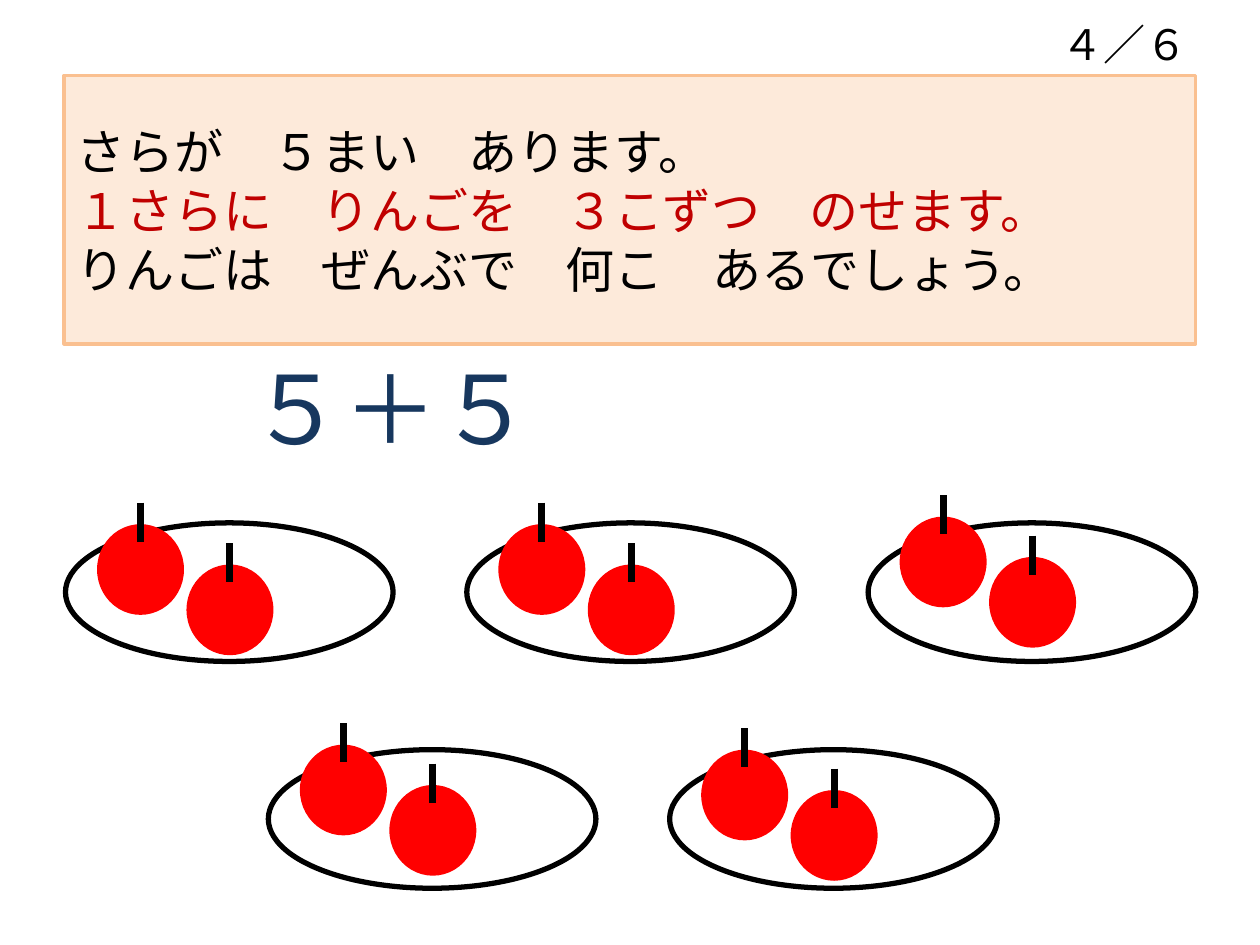
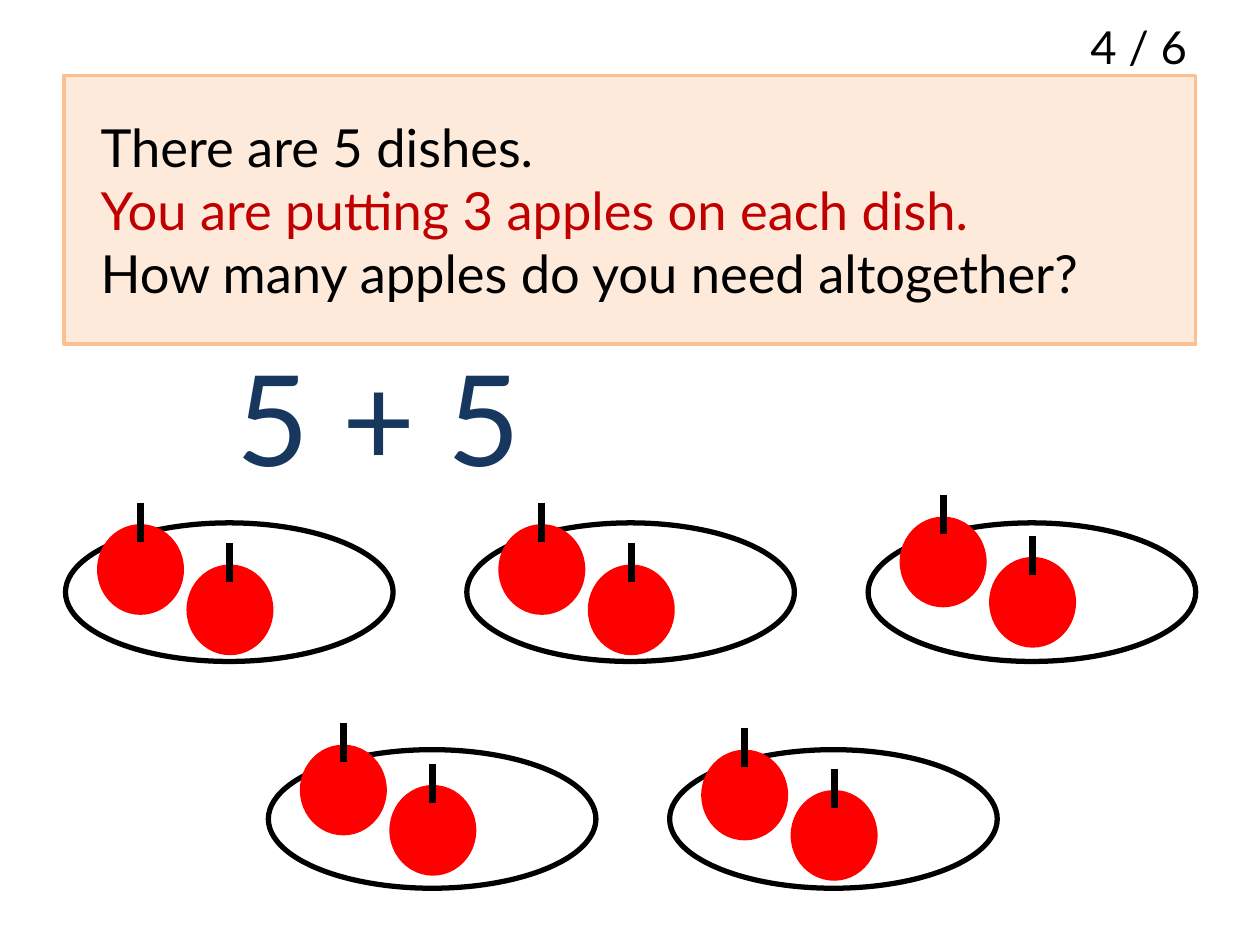
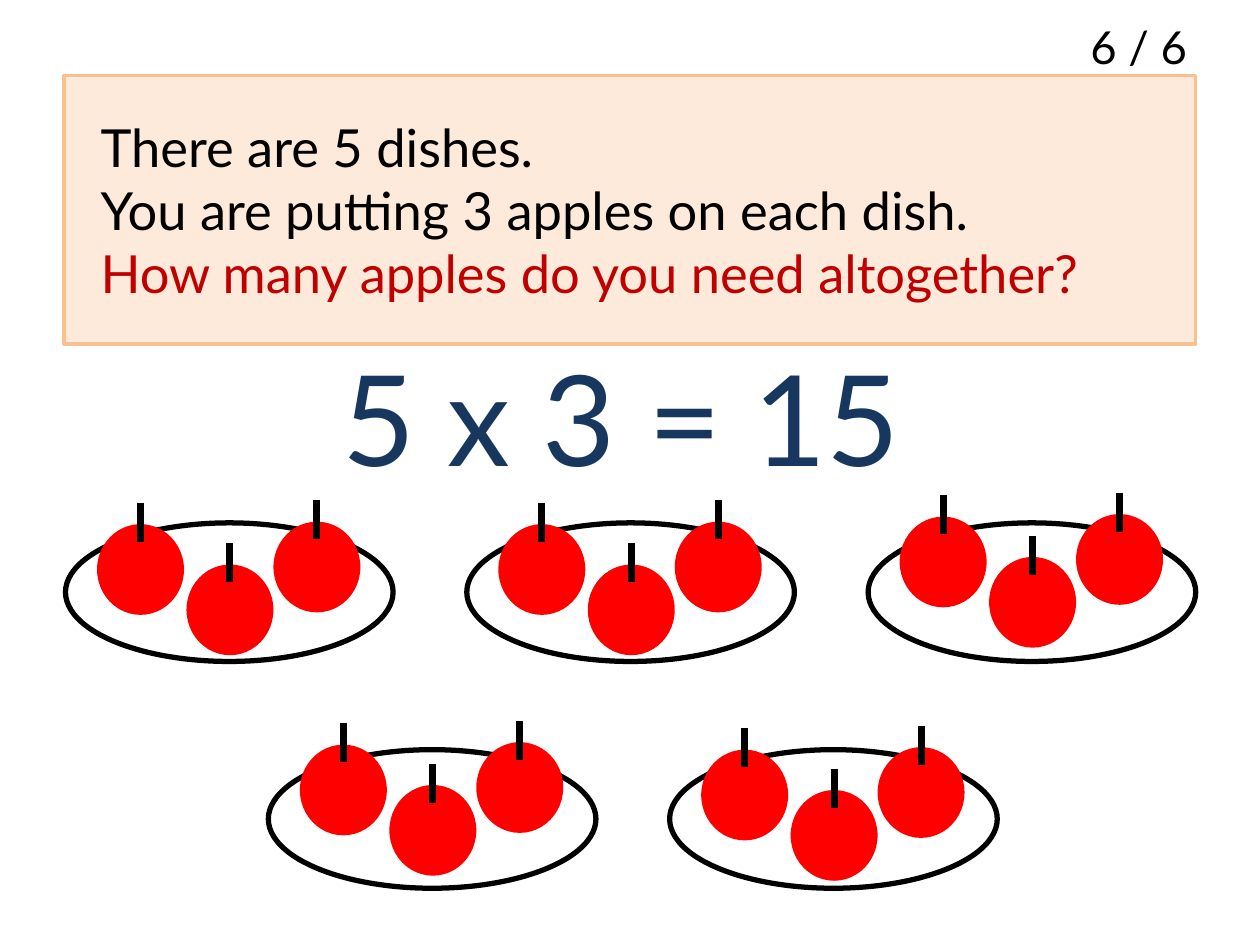
from lxml import etree
from pptx import Presentation
from pptx.dml.color import RGBColor
from pptx.enum.shapes import MSO_CONNECTOR, MSO_SHAPE
from pptx.enum.text import MSO_ANCHOR, MSO_AUTO_SIZE, PP_ALIGN
from pptx.oxml.ns import qn
from pptx.util import Inches, Pt

RECTANGLE, OVAL = MSO_SHAPE.RECTANGLE, MSO_SHAPE.OVAL
STRAIGHT = MSO_CONNECTOR.STRAIGHT
LEFT, RIGHT = PP_ALIGN.LEFT, PP_ALIGN.RIGHT
BLANK_LAYOUT = 6

BLACK, WHITE, RED = "000000", "FFFFFF", "FF0000"
CREAM, ORANGE, DARK_RED, NAVY = "FDEADA", "FAC090", "C00000", "17375E"

# Text styles for each language; lengths in inches, sizes in points
JAPANESE = {"font": "Noto Sans CJK JP", "problem": 28, "indent": 0,
            "page": 24, "page_size": (1.21, 0.5), "sum": 54}
ENGLISH = {"font": "Lato", "problem": 30, "indent": 0.19,
           "page": 26, "page_size": (1, 0.54), "sum": 72}

JAPANESE_PROBLEM = ["さらが\u3000５まい\u3000あります。",
                    "１さらに\u3000りんごを\u3000３こずつ\u3000のせます。",
                    "りんごは\u3000ぜんぶで\u3000何こ\u3000あるでしょう。"]
ENGLISH_PROBLEM = ["There are 5 dishes.",
                   "You are putting 3 apples on each dish.",
                   "How many apples do you need altogether?"]

SLIDES = [
    {"style": JAPANESE, "problem": JAPANESE_PROBLEM, "marked": 1, "page": "４／６",
     "sum": "５＋５", "sum_at": (1.88, 2.73, 2.47, 1.01), "apples": 2},
    {"style": ENGLISH, "problem": ENGLISH_PROBLEM, "marked": 1, "page": "4 / 6",
     "sum": "5 + 5", "sum_at": (1.78, 2.65, 2.48, 1.31), "apples": 2},
    {"style": ENGLISH, "problem": ENGLISH_PROBLEM, "marked": 2, "page": "6 / 6",
     "sum": "5 x 3 = 15", "sum_at": (2.62, 2.65, 4.74, 1.31), "apples": 3},
]

PROBLEM_AT = (0.51, 0.6, 8.98, 2.13)
PAGE_RIGHT, PAGE_TOP = 9.52, 0.1
DISH_SIZE, DISH_STEP = (2.6, 1.1), 3.185
# Each row: left of first dish, top of dishes, top of first apple on each dish
DISH_ROWS = [(0.52, 4.15, (4.16, 4.16, 4.1)), (2.13, 5.95, (5.91, 5.95))]
APPLE_SIZE = (0.69, 0.72)
APPLE_OFFSETS = [(0.25, 0), (0.96, 0.32), (1.65, -0.02)]
STEM_RISE, STEM_LENGTH = 0.17, 0.31


def colour(code):
    """Turn a hex string into a colour."""
    return RGBColor.from_string(code)


def inches(values):
    """Turn numbers into lengths."""
    return [Inches(value) for value in values]


def add_shape(shapes, kind, at, fill, line=None, width=0):
    """Add a flat preset shape, outlined only if a line colour is given."""
    shape = shapes.add_shape(kind, *inches(at))
    shape.shadow.inherit = False
    shape.fill.solid()
    shape.fill.fore_color.rgb = colour(fill)
    if line:
        shape.line.color.rgb = colour(line)
        shape.line.width = Pt(width)
    else:
        shape.line.fill.background()
    return shape


def write(para, text, font, size, code, align=LEFT):
    """Write one formatted run, with the same font for East Asian text."""
    para.alignment = align
    span = para.add_run()
    span.text = text
    for name, value in {"name": font, "size": Pt(size)}.items():
        setattr(span.font, name, value)
    span.font.color.rgb = colour(code)
    latin = span.font._element.find(qn("a:latin"))
    east_asian = etree.Element(qn("a:ea"), typeface=font)
    latin.addnext(east_asian)


def add_label(slide, at, *text_format):
    """Add a text box holding one unwrapped line."""
    frame = slide.shapes.add_textbox(*inches(at)).text_frame
    frame.word_wrap = False
    frame.auto_size = MSO_AUTO_SIZE.SHAPE_TO_FIT_TEXT
    write(frame.paragraphs[0], *text_format)


def add_problem(slide, lines, marked, style):
    """Add the problem panel with one line marked in red."""
    panel = add_shape(slide.shapes, RECTANGLE, PROBLEM_AT, CREAM, ORANGE, 2)
    frame = panel.text_frame
    frame.word_wrap = True
    frame.vertical_anchor = MSO_ANCHOR.MIDDLE
    for index, line in enumerate(lines):
        para = frame.paragraphs[0] if index == 0 else frame.add_paragraph()
        para._p.get_or_add_pPr().set("marL", str(Inches(style["indent"])))
        code = DARK_RED if index == marked else BLACK
        write(para, line, style["font"], style["problem"], code)


def add_apple(shapes, left, top):
    """Add an apple with its stem."""
    add_shape(shapes, OVAL, (left, top, *APPLE_SIZE), RED)
    middle, stem_top = left + APPLE_SIZE[0] / 2, top - STEM_RISE
    stem = shapes.add_connector(
        STRAIGHT, *inches((middle, stem_top, middle, stem_top + STEM_LENGTH)))
    stem.line.color.rgb = colour(BLACK)
    stem.line.width = Pt(4)
    etree.SubElement(stem._element.spPr, qn("a:effectLst"))


def add_dishes(slide, apples):
    """Add the rows of dishes, each with a group of apples."""
    heaps = []
    for first_left, top, apple_tops in DISH_ROWS:
        for column, apple_top in enumerate(apple_tops):
            left = first_left + column * DISH_STEP
            add_shape(slide.shapes, OVAL, (left, top, *DISH_SIZE), WHITE, BLACK, 3)
            heaps.append((left, apple_top))
    for left, top in heaps:
        group = slide.shapes.add_group_shape()
        for across, down in APPLE_OFFSETS[:apples]:
            add_apple(group.shapes, left + across, top + down)


def build_slide(deck, content):
    """Build one slide from its content."""
    slide = deck.slides.add_slide(deck.slide_layouts[BLANK_LAYOUT])
    style = content["style"]
    font, (width, height) = style["font"], style["page_size"]
    add_problem(slide, content["problem"], content["marked"], style)
    add_label(slide, (PAGE_RIGHT - width, PAGE_TOP, width, height),
              content["page"], font, style["page"], BLACK, RIGHT)
    add_dishes(slide, content["apples"])
    add_label(slide, content["sum_at"], content["sum"], font, style["sum"], NAVY)


deck = Presentation()
deck.slide_width, deck.slide_height = inches((10, 7.5))
for content in SLIDES:
    build_slide(deck, content)
deck.save("out.pptx")
